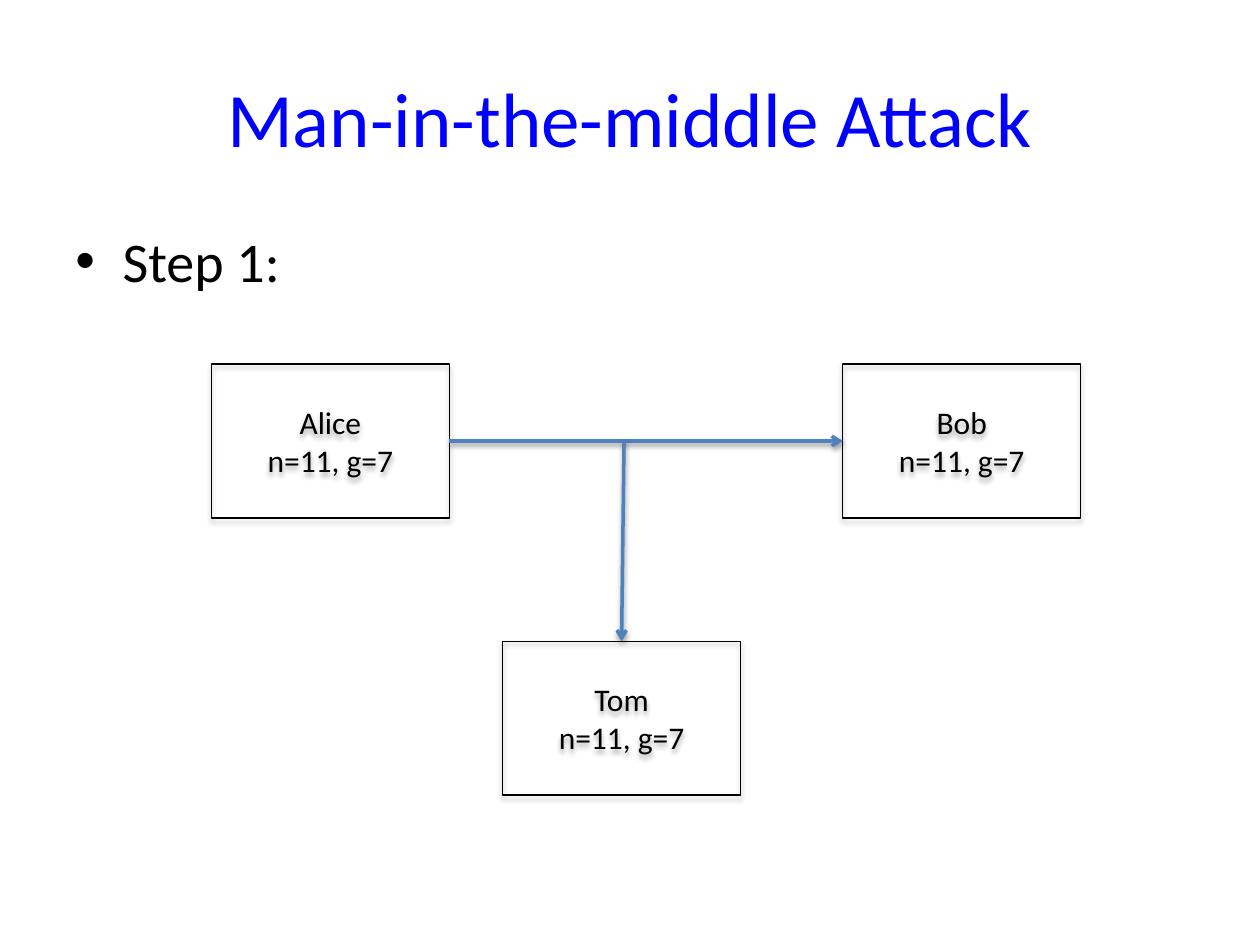
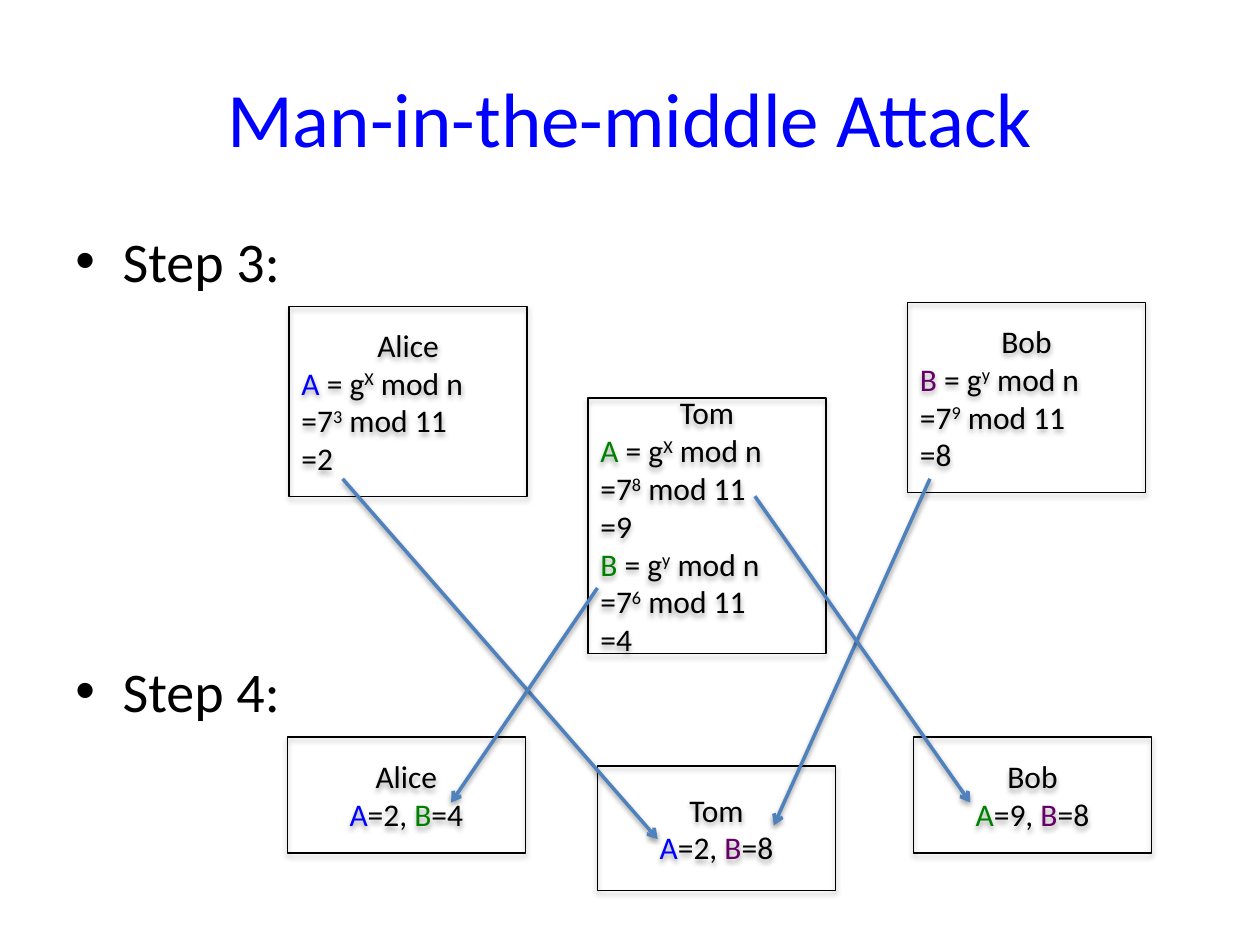
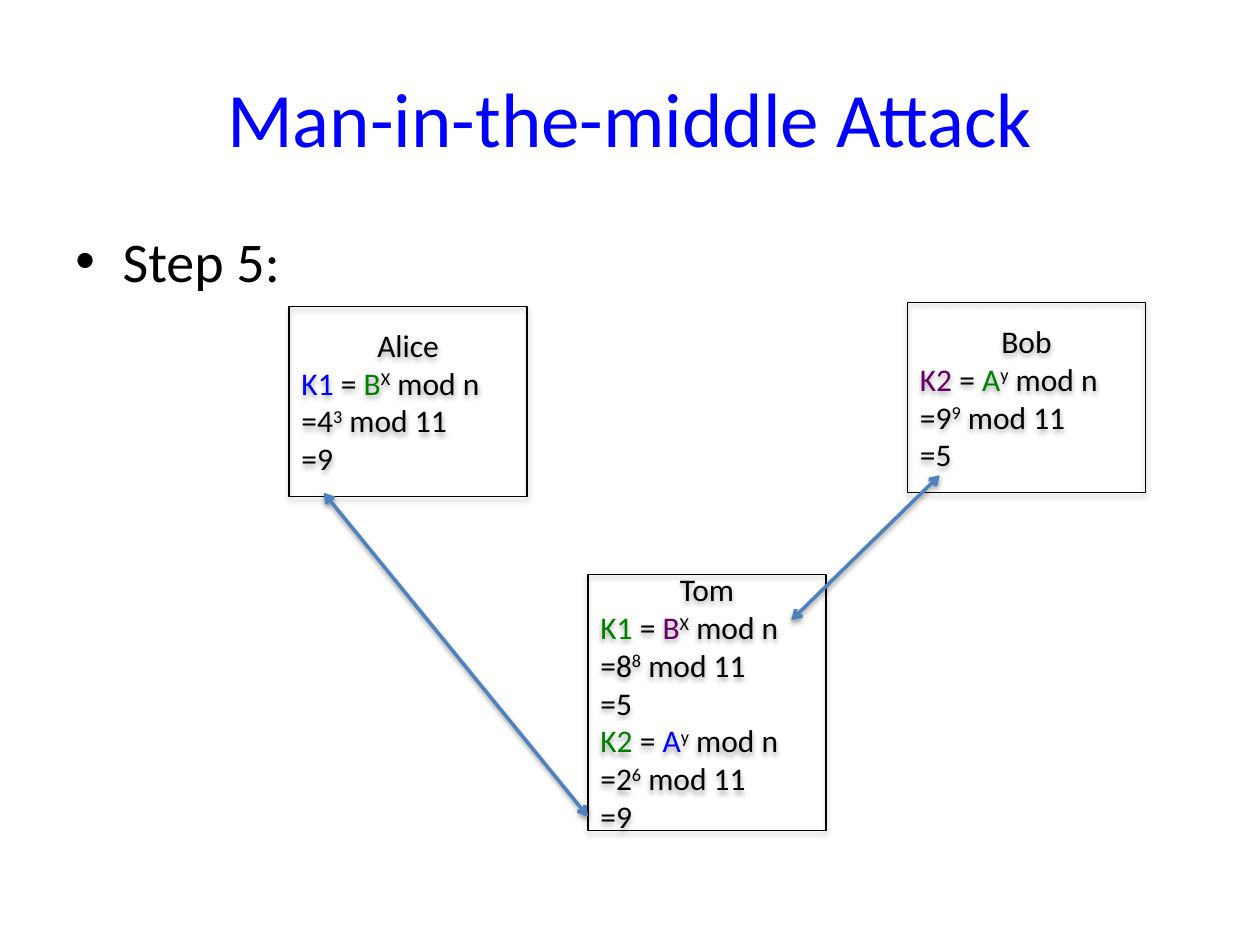
import dataclasses

import lxml.etree
import pptx
import pptx.dml.color
import pptx.enum.shapes
import pptx.enum.text
import pptx.oxml.ns
import pptx.presentation
import pptx.shapes.base
import pptx.slide
import pptx.text.text
import pptx.util

Pt = pptx.util.Pt
qn = pptx.oxml.ns.qn
ALIGN = pptx.enum.text.PP_ALIGN
ANCHOR = pptx.enum.text.MSO_ANCHOR

COLOURS = {
    "title": "0000FF",
    "text": "000000",
    "outline": "000000",
    "arrow": "4F81BD",
    "shadow": "000000",
    "Alice": "0000FF",
    "Tom": "008000",
    "Bob": "660066",
}
FONT = "Calibri"
TITLE = "Man-in-the-middle Attack"
BOX_WIDTH = 136
STEP_GAP = 207


@dataclasses.dataclass(frozen=True)
class Span:
    text: str
    colour: str = "text"
    raised: bool = False


@dataclasses.dataclass(frozen=True)
class Party:
    """A box for one person: the centred name, then lines of spans."""
    name: str
    left: float
    top: float
    height: float
    lines: list[list[Span]]
    align: ALIGN = ALIGN.CENTER


@dataclasses.dataclass(frozen=True)
class Arrow:
    start: tuple[float, float]
    end: tuple[float, float]
    both_ways: bool = False


@dataclasses.dataclass(frozen=True)
class Page:
    steps: list[str]
    body_height: float
    parties: list[Party]
    arrows: list[Arrow]


def power(key: Span, base: Span, exponent: str, number: int, value: int,
          result: int) -> list[list[Span]]:
    """Three lines: the formula, the formula with numbers, the result."""
    return [
        [key, Span(" = "), base, Span(exponent, raised=True), Span(" mod n")],
        [Span(f"={number}"), Span(str(value), raised=True), Span(" mod 11")],
        [Span(f"={result}")],
    ]


def known_keys(a_owner: str, a_value: int, b_owner: str, b_value: int) -> list[list[Span]]:
    return [[Span("A", a_owner), Span(f"={a_value}, "),
             Span("B", b_owner), Span(f"={b_value}")]]


def rgb(name: str) -> pptx.dml.color.RGBColor:
    return pptx.dml.color.RGBColor.from_string(COLOURS[name])


def style_run(run: pptx.text.text._Run, size: float, colour: str) -> None:
    run.font.name = FONT
    run.font.size = Pt(size)
    run.font.color.rgb = rgb(colour)


def add_shadow(shape: pptx.shapes.base.BaseShape, distance: float, opacity: int) -> None:
    """Soft shadow straight down; call it after the line is set."""
    effects = lxml.etree.SubElement(shape.element.spPr, qn("a:effectLst"))
    shadow = lxml.etree.SubElement(
        effects, qn("a:outerShdw"), blurRad=str(Pt(3.1)), dist=str(Pt(distance)),
        dir="5400000", rotWithShape="0")
    colour = lxml.etree.SubElement(shadow, qn("a:srgbClr"), val=COLOURS["shadow"])
    lxml.etree.SubElement(colour, qn("a:alpha"), val=str(opacity * 1000))


def add_title(slide: pptx.slide.Slide) -> None:
    box = slide.shapes.add_textbox(Pt(36), Pt(21.6), Pt(648), Pt(90))
    frame = box.text_frame
    frame.word_wrap = True
    frame.vertical_anchor = ANCHOR.MIDDLE
    frame.text = TITLE
    paragraph = frame.paragraphs[0]
    paragraph.alignment = ALIGN.CENTER
    style_run(paragraph.runs[0], 44, "title")


def add_steps(slide: pptx.slide.Slide, steps: list[str], height: float) -> None:
    box = slide.shapes.add_textbox(Pt(36), Pt(126), Pt(648), Pt(height))
    frame = box.text_frame
    frame.word_wrap = True
    frame.text = "\n".join(steps)
    for index, paragraph in enumerate(frame.paragraphs):
        paragraph.space_before = Pt(STEP_GAP if index else 0)
        style_run(paragraph.runs[0], 32, "text")
        properties = paragraph._p.get_or_add_pPr()
        properties.set("marL", str(Pt(27)))
        properties.set("indent", str(Pt(-27)))
        lxml.etree.SubElement(properties, qn("a:buFont"), typeface="Arial")
        lxml.etree.SubElement(properties, qn("a:buChar"), char="•")


def add_party(slide: pptx.slide.Slide, party: Party) -> None:
    box = slide.shapes.add_shape(
        pptx.enum.shapes.MSO_SHAPE.RECTANGLE,
        Pt(party.left), Pt(party.top), Pt(BOX_WIDTH), Pt(party.height))
    box.fill.background()
    box.line.color.rgb = rgb("outline")
    box.line.width = Pt(0.75)
    add_shadow(box, 1.8, 35)
    frame = box.text_frame
    frame.word_wrap = True
    frame.vertical_anchor = ANCHOR.MIDDLE
    frame.text = party.name
    heading = frame.paragraphs[0]
    heading.alignment = ALIGN.CENTER
    style_run(heading.runs[0], 18, "text")
    for line in party.lines:
        paragraph = frame.add_paragraph()
        paragraph.alignment = party.align
        for span in line:
            run = paragraph.add_run()
            run.text = span.text
            style_run(run, 18, span.colour)
            if span.raised:
                run._r.get_or_add_rPr().set("baseline", "30000")


def add_arrow(slide: pptx.slide.Slide, arrow: Arrow) -> None:
    connector = slide.shapes.add_connector(
        pptx.enum.shapes.MSO_CONNECTOR.STRAIGHT,
        *(Pt(value) for value in arrow.start + arrow.end))
    connector.line.color.rgb = rgb("arrow")
    connector.line.width = Pt(2)
    line = connector.element.spPr.find(qn("a:ln"))
    for end in ["a:headEnd", "a:tailEnd"] if arrow.both_ways else ["a:tailEnd"]:
        lxml.etree.SubElement(line, qn(end), type="arrow")
    add_shadow(connector, 1.6, 38)


def calculation(name: str, left: float, top: float, lines: list[list[Span]]) -> Party:
    """A party box with left-aligned formulas, taller for two of them."""
    height = 146 if len(lines) > 3 else 108.8
    return Party(name, left, top, height, lines, ALIGN.LEFT)


GROUP = [[Span("n=11, g=7")]]
G = Span("g")

PAGES = [
    Page(
        ["Step 1:"], 356.4,
        [
            Party("Alice", 120.8, 208, 88, GROUP),
            Party("Bob", 481.6, 208, 88, GROUP),
            Party("Tom", 287.2, 366.4, 88, GROUP),
        ],
        [
            Arrow((256.8, 252), (481.6, 252)),
            Arrow((356.6, 252), (355.2, 366.4)),
        ],
    ),
    Page(
        ["Step 3:", "Step 4:"], 414,
        [
            calculation("Tom", 336, 227.4,
                        power(Span("A", "Tom"), G, "X", 7, 8, 9)
                        + power(Span("B", "Tom"), G, "y", 7, 6, 4)),
            calculation("Bob", 518.6, 172.8, power(Span("B", "Bob"), G, "y", 7, 9, 8)),
            calculation("Alice", 165.2, 175, power(Span("A", "Alice"), G, "X", 7, 3, 2)),
            Party("Alice", 164.2, 421.2, 66.2, known_keys("Alice", 2, "Tom", 4)),
            Party("Tom", 341.4, 437.8, 71.2, known_keys("Alice", 2, "Bob", 8)),
            Party("Bob", 522, 421.2, 66.2, known_keys("Tom", 9, "Bob", 8)),
        ],
        [
            Arrow((195.8, 273.6), (375.8, 479.5)),
            Arrow((531.4, 273.6), (442.2, 471.6)),
            Arrow((431.4, 283.6), (554.4, 458.6)),
            Arrow((341.4, 336), (257.8, 458.6)),
        ],
    ),
    Page(
        ["Step 5:"], 414,
        [
            calculation("Tom", 336, 328.4,
                        power(Span("K1", "Tom"), Span("B", "Bob"), "X", 8, 8, 5)
                        + power(Span("K2", "Tom"), Span("A", "Alice"), "y", 2, 6, 9)),
            calculation("Bob", 518.6, 172.8,
                        power(Span("K2", "Bob"), Span("A", "Tom"), "y", 9, 9, 5)),
            calculation("Alice", 165.2, 175,
                        power(Span("K1", "Alice"), Span("B", "Tom"), "X", 4, 3, 9)),
        ],
        [
            Arrow((185, 281.6), (336, 466.6), both_ways=True),
            Arrow((452.2, 354.4), (537, 271.6), both_ways=True),
        ],
    ),
]


def add_page(deck: pptx.presentation.Presentation, page: Page) -> None:
    slide = deck.slides.add_slide(deck.slide_layouts[6])
    add_title(slide)
    add_steps(slide, page.steps, page.body_height)
    for party in page.parties:
        add_party(slide, party)
    for arrow in page.arrows:
        add_arrow(slide, arrow)


def main() -> None:
    deck = pptx.Presentation()
    deck.slide_width, deck.slide_height = Pt(720), Pt(540)
    for page in PAGES:
        add_page(deck, page)
    deck.save("out.pptx")


if __name__ == "__main__":
    main()
